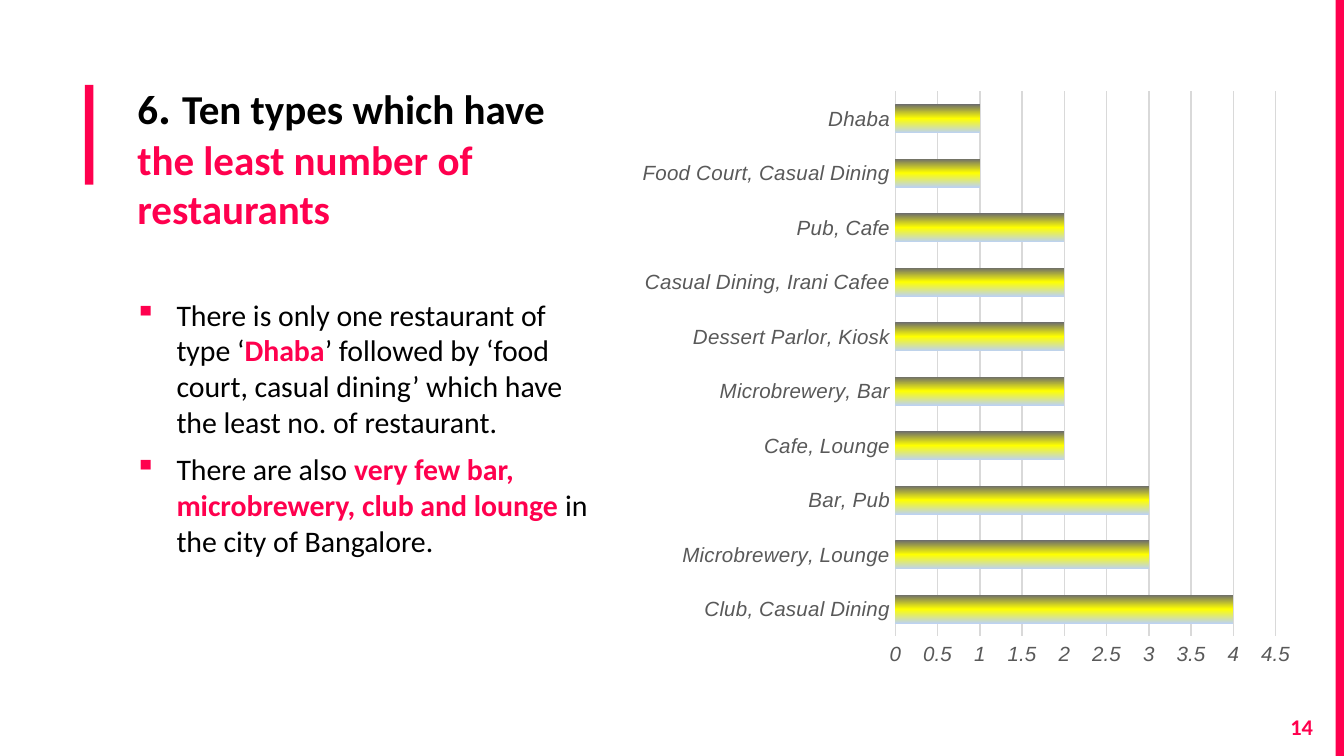
import copy
from dataclasses import dataclass

import lxml.etree
import pptx
import pptx.chart.data
import pptx.dml.color
import pptx.enum.chart
import pptx.enum.shapes
import pptx.enum.text
import pptx.oxml.ns
import pptx.util

Pt = pptx.util.Pt
qn = pptx.oxml.ns.qn

COLORS = {
    "accent": "FF004E",
    "ink": "000000",
    "label": "595959",
    "grid": "D9D9D9",
    "bar_top": "6C6C6C",
    "bar_middle": "FFFF00",
    "bar_bottom": "BDD2F1",
}
TEXT_FONT = "Calibri"
CHART_FONT = "Arial"
INSET = 7.2
BULLET_INDENT = 22.5


@dataclass(frozen=True)
class Box:
    left: float
    top: float
    width: float
    height: float

    def lengths(self) -> tuple:
        return Pt(self.left), Pt(self.top), Pt(self.width), Pt(self.height)


@dataclass(frozen=True)
class Span:
    text: str
    size: float
    color: str = "ink"
    bold: bool = False


ACCENT_BARS = [Box(45.5, 45.5, 4.5, 53.5), Box(715.5, 0, 4.5, 405)]
TITLE = [
    Span("6", 22, bold=True),
    Span(". ", 26, bold=True),
    Span("Ten types which have ", 22, bold=True),
    Span("the least number of restaurants", 22, "accent", True),
]
FINDINGS = [
    [
        Span("There is only one restaurant of type ‘", 16),
        Span("Dhaba", 16, "accent", True),
        Span("’ followed by ‘food court, casual dining’ which have the least no. of restaurant.", 16),
    ],
    [
        Span("There are also ", 16),
        Span("very few bar, microbrewery, club and lounge ", 16, "accent", True),
        Span("in the city of Bangalore.", 16),
    ],
]
PAGE_NUMBER = [Span("14", 12, "accent", True)]
RESTAURANT_COUNTS = {
    "Club, Casual Dining": 4,
    "Microbrewery, Lounge": 3,
    "Bar, Pub": 3,
    "Cafe, Lounge": 2,
    "Microbrewery, Bar": 2,
    "Dessert Parlor, Kiosk": 2,
    "Casual Dining, Irani Cafee": 2,
    "Pub, Cafe": 2,
    "Food Court, Casual Dining": 1,
    "Dhaba": 1,
}
BAR_GRADIENT = [(0, "bar_top"), (0.5, "bar_middle"), (1, "bar_bottom")]


def rgb(name: str) -> pptx.dml.color.RGBColor:
    return pptx.dml.color.RGBColor.from_string(COLORS[name])


def draw_accent_bar(slide, box: Box) -> None:
    bar = slide.shapes.add_shape(pptx.enum.shapes.MSO_SHAPE.RECTANGLE, *box.lengths())
    bar.shadow.inherit = False
    bar.fill.solid()
    bar.fill.fore_color.rgb = rgb("accent")
    bar.line.fill.background()


def add_bullet(paragraph) -> None:
    properties = paragraph._p.get_or_add_pPr()
    properties.set("marL", str(Pt(BULLET_INDENT)))
    properties.set("indent", str(-Pt(BULLET_INDENT)))
    bullet_color = lxml.etree.SubElement(properties, qn("a:buClr"))
    lxml.etree.SubElement(bullet_color, qn("a:srgbClr")).set("val", COLORS["accent"])
    lxml.etree.SubElement(properties, qn("a:buChar")).set("char", "▪")


def draw_text(slide, box: Box, paragraphs: list[list[Span]], bulleted: bool = False,
              align=pptx.enum.text.PP_ALIGN.LEFT,
              anchor=pptx.enum.text.MSO_ANCHOR.TOP) -> None:
    frame = slide.shapes.add_textbox(*box.lengths()).text_frame
    frame.word_wrap = True
    frame.vertical_anchor = anchor
    frame.margin_left = frame.margin_right = Pt(INSET)
    frame.margin_top = frame.margin_bottom = Pt(INSET)
    for index, spans in enumerate(paragraphs):
        paragraph = frame.add_paragraph() if index else frame.paragraphs[0]
        paragraph.alignment = align
        if bulleted:
            add_bullet(paragraph)
        if index:
            paragraph.space_before = Pt(6)
        for span in spans:
            run = paragraph.add_run()
            run.text = span.text
            run.font.name = TEXT_FONT
            run.font.size = Pt(span.size)
            run.font.bold = span.bold
            run.font.color.rgb = rgb(span.color)


def fill_bars(series) -> None:
    fill = series.format.fill
    fill.gradient()
    fill.gradient_angle = 270
    stops = series._element.find(".//" + qn("a:gsLst"))
    stops.insert(1, copy.deepcopy(stops[0]))
    for stop, (position, color) in zip(fill.gradient_stops, BAR_GRADIENT):
        stop.position = position
        stop.color.rgb = rgb(color)


def style_axis(axis) -> None:
    axis.major_tick_mark = axis.minor_tick_mark = pptx.enum.chart.XL_TICK_MARK.NONE
    axis.format.line.fill.background()
    font = axis.tick_labels.font
    font.name = CHART_FONT
    font.size = Pt(11)
    font.italic = True
    font.bold = False
    font.color.rgb = rgb("label")


def draw_chart(slide, box: Box, counts: dict[str, int]) -> None:
    data = pptx.chart.data.CategoryChartData()
    data.categories = list(counts)
    data.add_series("Series 1", list(counts.values()))
    chart = slide.shapes.add_chart(
        pptx.enum.chart.XL_CHART_TYPE.BAR_CLUSTERED, *box.lengths(), data).chart
    chart.has_legend = False
    chart.has_title = False
    chart.font.name = CHART_FONT
    chart.font.size = Pt(10)
    chart.font.color.rgb = rgb("ink")
    plot = chart.plots[0]
    plot.gap_width = 90
    plot.vary_by_categories = False
    fill_bars(plot.series[0])
    style_axis(chart.category_axis)
    value_axis = chart.value_axis
    style_axis(value_axis)
    value_axis.minimum_scale = 0
    value_axis.maximum_scale = 4.5
    value_axis.major_unit = 0.5
    value_axis.has_major_gridlines = True
    gridline = value_axis.major_gridlines.format.line
    gridline.color.rgb = rgb("grid")
    gridline.width = Pt(0.75)


def main() -> None:
    """Build the slide on the restaurant types with the fewest restaurants."""
    deck = pptx.Presentation()
    deck.slide_width, deck.slide_height = Pt(720), Pt(405)
    slide = deck.slides.add_slide(deck.slide_layouts[6])
    for box in ACCENT_BARS:
        draw_accent_bar(slide, box)
    draw_text(slide, Box(66.5, 33.5, 254, 67.5), [TITLE])
    draw_text(slide, Box(65, 151.5, 257, 226.5), FINDINGS, bulleted=True)
    draw_text(slide, Box(667.5, 374, 43, 31), [PAGE_NUMBER],
              align=pptx.enum.text.PP_ALIGN.RIGHT, anchor=pptx.enum.text.MSO_ANCHOR.MIDDLE)
    draw_chart(slide, Box(337, 42.5, 361.5, 320.5), RESTAURANT_COUNTS)
    deck.save("out.pptx")


if __name__ == "__main__":
    main()
